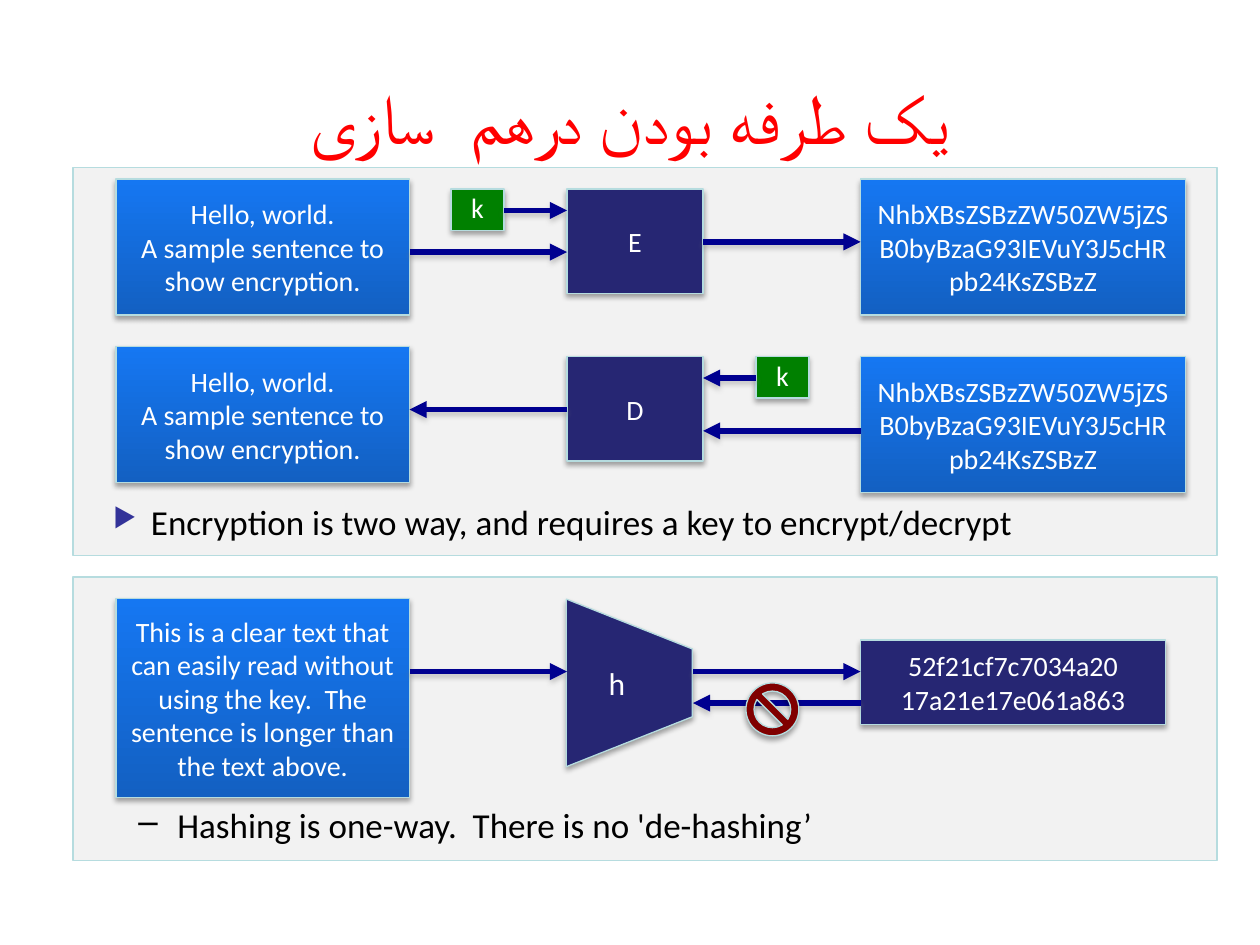
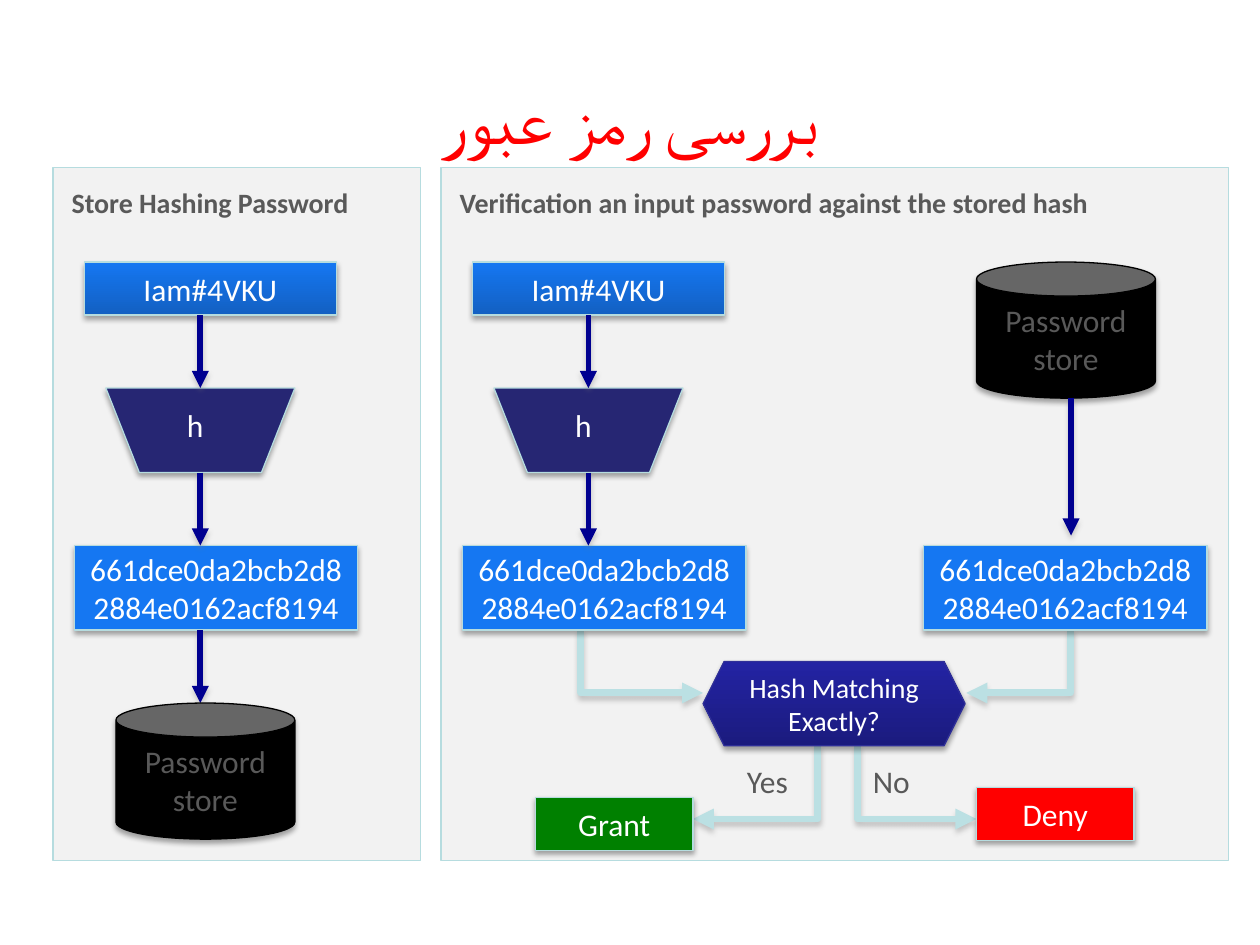
from lxml.etree import SubElement
from pptx import Presentation
from pptx.dml.color import RGBColor
from pptx.enum.shapes import MSO_CONNECTOR as LINK, MSO_SHAPE as SHAPE
from pptx.enum.text import MSO_ANCHOR as ANCHOR, PP_ALIGN as ALIGN
from pptx.oxml.ns import qn
from pptx.util import Inches, Pt

FONT = "Calibri"
WHITE, BLACK, GREY, RED, GREEN = "FFFFFF", "000000", "595959", "FF0000", "008000"
PANEL, EDGE, NAVY, BLUE = "F2F2F2", "B6DCDF", "262673", "1577F2"
ARROW, ELBOW, STOP = "000090", "BBE0E3", "800000"
BLUE_FADE = ("1360C2", BLUE)
INDIGO_FADE = ("1B1B7E", "2323A3")
BOX_SHADOW = (BLACK, 35, 3.1, 1.8)
LINE_SHADOW = ("808080", 40, 3, 2)

CLEAR_TEXT = "Hello, world.\nA sample sentence to show encryption."
CIPHER_TEXT = "NhbXBsZSBzZW50ZW5jZSB0byBzaG93IEVuY3J5cHRpb24KsZSBzZ"
LONG_TEXT = ("This is a clear text that can easily read without using the key.  "
             "The sentence is longer than the text above.")
DIGEST = "52f21cf7c7034a20\v17a21e17e061a863"
STORED_HASH = "661dce0da2bcb2d8\v2884e0162acf8194"


def rgb(color):
    return RGBColor.from_string(color)


def add_node(parent, tag, **attrs):
    return SubElement(parent, qn(tag), {k: str(v) for k, v in attrs.items()})


def add_shadow(effects, color, alpha, blur, dist):
    outer = add_node(effects, "a:outerShdw", blurRad=Pt(blur), dist=Pt(dist),
                     dir=5400000, rotWithShape=0)
    clr = add_node(outer, "a:srgbClr", val=color)
    add_node(clr, "a:alpha", val=alpha * 1000)


def write(tf, text, size=16, color=WHITE, bold=False, align=ALIGN.CENTER,
          anchor=ANCHOR.MIDDLE, wrap=True, before=0, after=0):
    """Fill a text frame; newline starts a paragraph, vertical tab a line."""
    tf.word_wrap = wrap
    tf.vertical_anchor = anchor
    for i, line in enumerate(text.split("\n")):
        p = tf.paragraphs[0] if i == 0 else tf.add_paragraph()
        p.text = line
        p.alignment = align
        p.space_before, p.space_after = Pt(before), Pt(after)
        for r in p.runs:
            r.font.name, r.font.size, r.font.bold = FONT, Pt(size), bold
            r.font.color.rgb = rgb(color)


def add_text(slide, x, y, w, h, text, **fmt):
    s = slide.shapes.add_textbox(Inches(x), Inches(y), Inches(w), Inches(h))
    write(s.text_frame, text, **fmt)
    return s.text_frame


def add_box(slide, x, y, w, h, fill, text="", kind=SHAPE.RECTANGLE, line=EDGE,
            adj=None, rotation=0, shadow=True, **fmt):
    """Add a filled preset shape; a pair of colours fades from bottom to top."""
    sp = slide.shapes.add_shape(kind, Inches(x), Inches(y), Inches(w), Inches(h))
    if isinstance(fill, tuple):
        sp.fill.gradient()
        sp.fill.gradient_angle = 90
        for stop, color in zip(sp.fill.gradient_stops, fill):
            stop.color.rgb = rgb(color)
    else:
        sp.fill.solid()
        sp.fill.fore_color.rgb = rgb(fill)
    sp.line.color.rgb = rgb(line)
    sp.line.width = Pt(0.75)
    sp.rotation = rotation
    if adj is not None:
        sp.adjustments[0] = adj
    sp.shadow.inherit = False
    if shadow:
        add_shadow(sp.element.spPr.find(qn("a:effectLst")), *BOX_SHADOW)
    if text:
        write(sp.text_frame, text, **fmt)
    return sp


def add_arrow(slide, x1, y1, x2, y2, elbow=False):
    """Add an arrow; an elbow runs vertically first, then horizontally."""
    kind = LINK.ELBOW if elbow else LINK.STRAIGHT
    c = slide.shapes.add_connector(kind, Inches(x1), Inches(y1), Inches(x2), Inches(y2))
    c.line.color.rgb = rgb(ELBOW if elbow else ARROW)
    c.line.width = Pt(4 if elbow else 3.25)
    spPr = c.element.spPr
    add_node(spPr.find(qn("a:ln")), "a:tailEnd", type="triangle")
    add_shadow(add_node(spPr, "a:effectLst"), *LINE_SHADOW)
    if elbow:
        guides = spPr.find(qn("a:prstGeom")).get_or_add_avLst()
        add_node(guides, "a:gd", name="adj1", fmla="val 0")


def add_bullet(slide, x, y, w, h, text, char, left, hang, color=None, size=None, **fmt):
    tf = add_text(slide, x, y, w, h, text, size=20, color=BLACK, align=ALIGN.LEFT,
                  anchor=ANCHOR.TOP, **fmt)
    pPr = tf.paragraphs[0]._p.get_or_add_pPr()
    pPr.set("marL", str(Inches(left)))
    pPr.set("indent", str(-Inches(hang)))
    if color:
        add_node(add_node(pPr, "a:buClr"), "a:srgbClr", val=color)
    if size:
        add_node(pPr, "a:buSzPct", val=size * 1000)
    add_node(pPr, "a:buChar", char=char)


def add_panel(slide, x, y, w, h):
    add_box(slide, x, y, w, h, PANEL, shadow=False)


def add_store(slide, x, y):
    add_box(slide, x, y, 1.42, 1.08, BLACK, "Password store", kind=SHAPE.CAN,
            line=BLACK, size=18, color=GREY)


def add_stored_hash(slide, x, y):
    add_box(slide, x, y, 2.25, 0.67, BLUE, STORED_HASH, size=18)


def new_slide(prs, title):
    slide = prs.slides.add_slide(prs.slide_layouts[6])
    tf = add_text(slide, 0.5, 0.3, 9, 1.25, title, size=40, color=RED, before=12, after=3)
    tf.paragraphs[0]._p.get_or_add_pPr().set("rtl", "1")
    return slide


def encryption_panel(slide, x, y, w, h):
    add_panel(slide, x, y, w, h)
    left, middle, right = x + 0.34, x + 3.92, x + 6.25
    left_end, middle_end = left + 2.33, middle + 1.08

    # Clear text, cipher and cipher text of each direction
    for letter, clear_y, cipher_y, coded_y in (("E", 0.09, 0.17, 0.09),
                                               ("D", 1.42, 1.5, 1.5)):
        add_box(slide, left, y + clear_y, 2.33, 1.08, BLUE_FADE, CLEAR_TEXT)
        add_box(slide, middle, y + cipher_y, 1.08, 0.83, NAVY, letter)
        add_box(slide, right, y + coded_y, 2.58, 1.08, BLUE_FADE, CIPHER_TEXT)

    # Keys
    for key_x in (x + 3, x + 5.42):
        key_y = y + (0.17 if key_x < middle else 1.5)
        add_box(slide, key_x, key_y, 0.42, 0.33, GREEN, "k", anchor=ANCHOR.BOTTOM)

    # Flow to the right, then back to the left
    for start, end, dy in ((left_end, middle, 0.67), (x + 3.42, middle, 0.34),
                           (middle_end, right, 0.59), (middle, left_end, 1.92),
                           (x + 5.42, middle_end, 1.67), (right, middle_end, 2.09)):
        add_arrow(slide, start, y + dy, end, y + dy)

    add_bullet(slide, x - 0.08, y + 2.59, 9, 0.48,
               "Encryption is two way, and requires a key to encrypt/decrypt",
               "▶", 0.6, 0.3, color="333399", size=76, before=5)


def hashing_panel(slide, x, y, w, h):
    add_panel(slide, x, y, w, h)
    left, middle, right = x + 0.34, x + 3.92, x + 6.25
    add_box(slide, left, y + 0.17, 2.33, 1.58, BLUE_FADE, LONG_TEXT)
    sp = add_box(slide, middle - 0.17, y + 0.34, 1.33, 1, NAVY, "h",
                 kind=SHAPE.TRAPEZOID, adj=0.396, rotation=90, size=18)
    sp.element.txBody.bodyPr.set("vert", "vert270")
    add_box(slide, right, y + 0.5, 2.42, 0.67, NAVY, DIGEST)

    # One way through the hash, and the forbidden way back
    for start, end, dy in ((left + 2.33, middle, 0.75), (middle + 1, right, 0.75),
                           (right, middle + 1, 1)):
        add_arrow(slide, start, y + dy, end, y + dy)
    add_box(slide, x + 5.34, y + 0.84, 0.42, 0.42, STOP, kind=SHAPE.NO_SYMBOL, adj=0.154)

    add_bullet(slide, x - 0.08, y + 1.75, 9, 0.5,
               "Hashing is one-way.  There is no 'de-hashing’",
               "–", 0.81, 0.31, before=12, after=3)


def password_column(slide, x, y, heading, heading_w):
    """Heading and the steps from a password to its hash."""
    center = x + 1.17
    add_text(slide, x + 0.05, y + 0.09, heading_w, 0.37, heading, color=GREY, bold=True,
             align=ALIGN.LEFT, anchor=ANCHOR.TOP)
    add_box(slide, x + 0.25, y + 0.75, 2, 0.42, BLUE_FADE, "Iam#4VKU", size=18)
    add_box(slide, x + 0.42, y + 1.75, 1.5, 0.67, NAVY, kind=SHAPE.TRAPEZOID,
            adj=0.396, rotation=180)
    add_text(slide, x + 0.75, y + 1.84, 0.76, 0.4, "h", size=18, anchor=ANCHOR.TOP)
    add_stored_hash(slide, x + 0.17, y + 3)
    for top, bottom in ((1.17, 1.75), (2.42, 3)):
        add_arrow(slide, center, y + top, center, y + bottom)


def store_panel(slide, x, y, w, h):
    add_panel(slide, x, y, w, h)
    password_column(slide, x, y, "Store Hashing Password", 2.8)
    add_arrow(slide, x + 1.17, y + 3.67, x + 1.17, y + 4.25)
    add_store(slide, x + 0.5, y + 4.25)


def verification_panel(slide, x, y, w, h):
    add_panel(slide, x, y, w, h)

    # Both hashes lead to the test, the test to its two outcomes
    for x1, y1, x2, y2 in ((5, 3.67, 4.17, 4.17), (1.11, 3.67, 2.08, 4.17),
                           (2.99, 4.59, 2, 5.17), (3.31, 4.59, 4.25, 5.17)):
        add_arrow(slide, x + x1, y + y1, x + x2, y + y2, elbow=True)

    password_column(slide, x, y, "Verification an input password against the stored hash", 6.1)

    # Stored hash
    add_store(slide, x + 4.25, y + 0.75)
    add_arrow(slide, x + 5, y + 1.83, x + 5, y + 2.92)
    add_stored_hash(slide, x + 3.83, y + 3)

    # Test and outcomes
    add_box(slide, x + 2.08, y + 3.92, 2.08, 0.67, INDIGO_FADE, "Hash Matching Exactly?",
            kind=SHAPE.HEXAGON, line="2F2F98")
    for dx, dy, color, text in ((0.75, 5, GREEN, "Grant"), (4.25, 4.92, RED, "Deny")):
        add_box(slide, x + dx, y + dy, 1.25, 0.42, color, text, size=18)
    for dx, text in ((2.33, "Yes"), (3.33, "No")):
        add_text(slide, x + dx, y + 4.67, 0.53, 0.4, text, size=18, color=GREY,
                 align=ALIGN.LEFT, anchor=ANCHOR.TOP, wrap=False)


def main():
    prs = Presentation()
    prs.slide_width, prs.slide_height = Inches(10), Inches(7.5)

    slide = new_slide(prs, "یک طرفه بودن درهم  سازی")
    encryption_panel(slide, 0.58, 1.33, 9.08, 3.08)
    hashing_panel(slide, 0.58, 4.58, 9.08, 2.25)

    slide = new_slide(prs, "بررسی رمز عبور")
    store_panel(slide, 0.42, 1.33, 2.92, 5.5)
    verification_panel(slide, 3.5, 1.33, 6.25, 5.5)

    prs.save("out.pptx")


if __name__ == "__main__":
    main()
